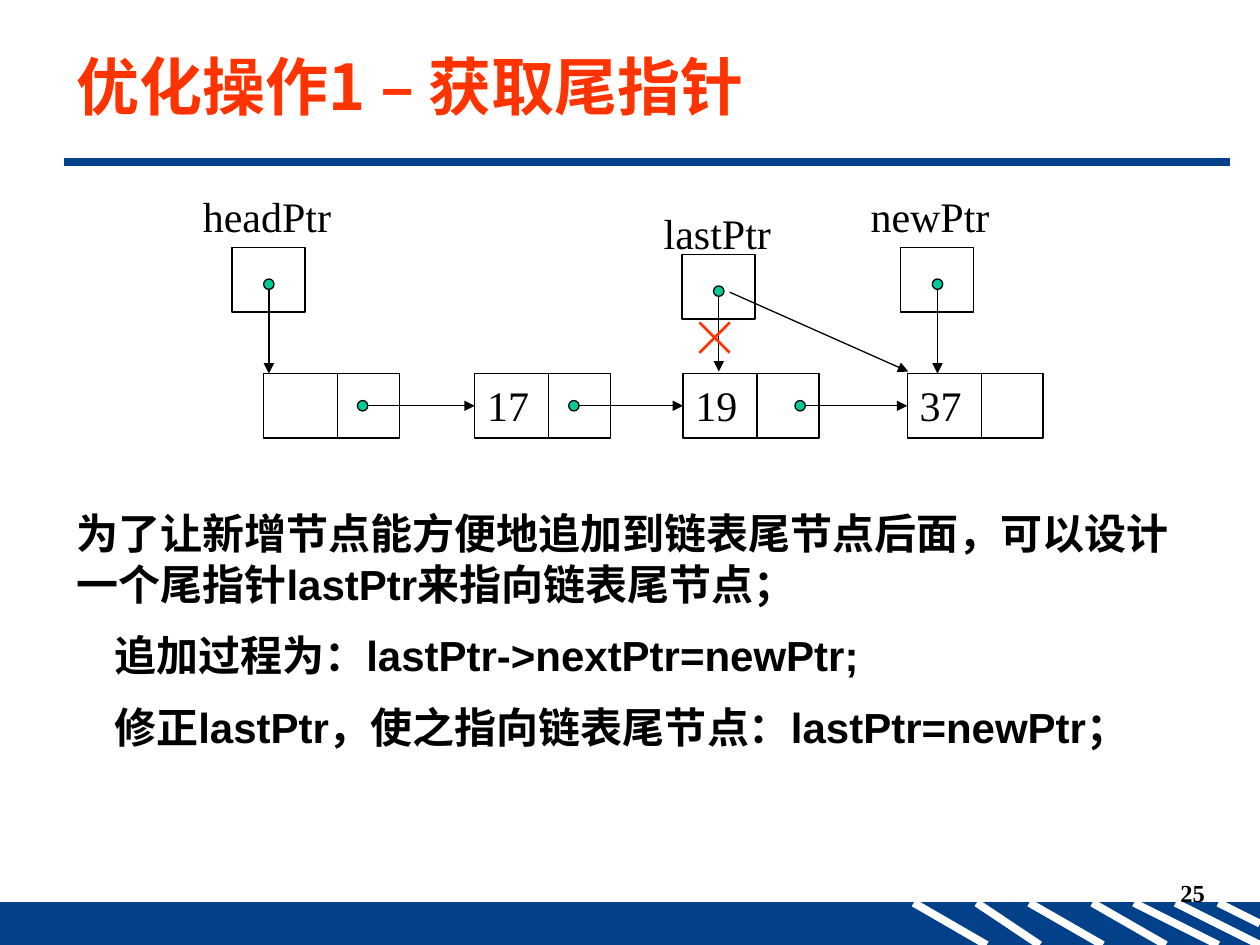
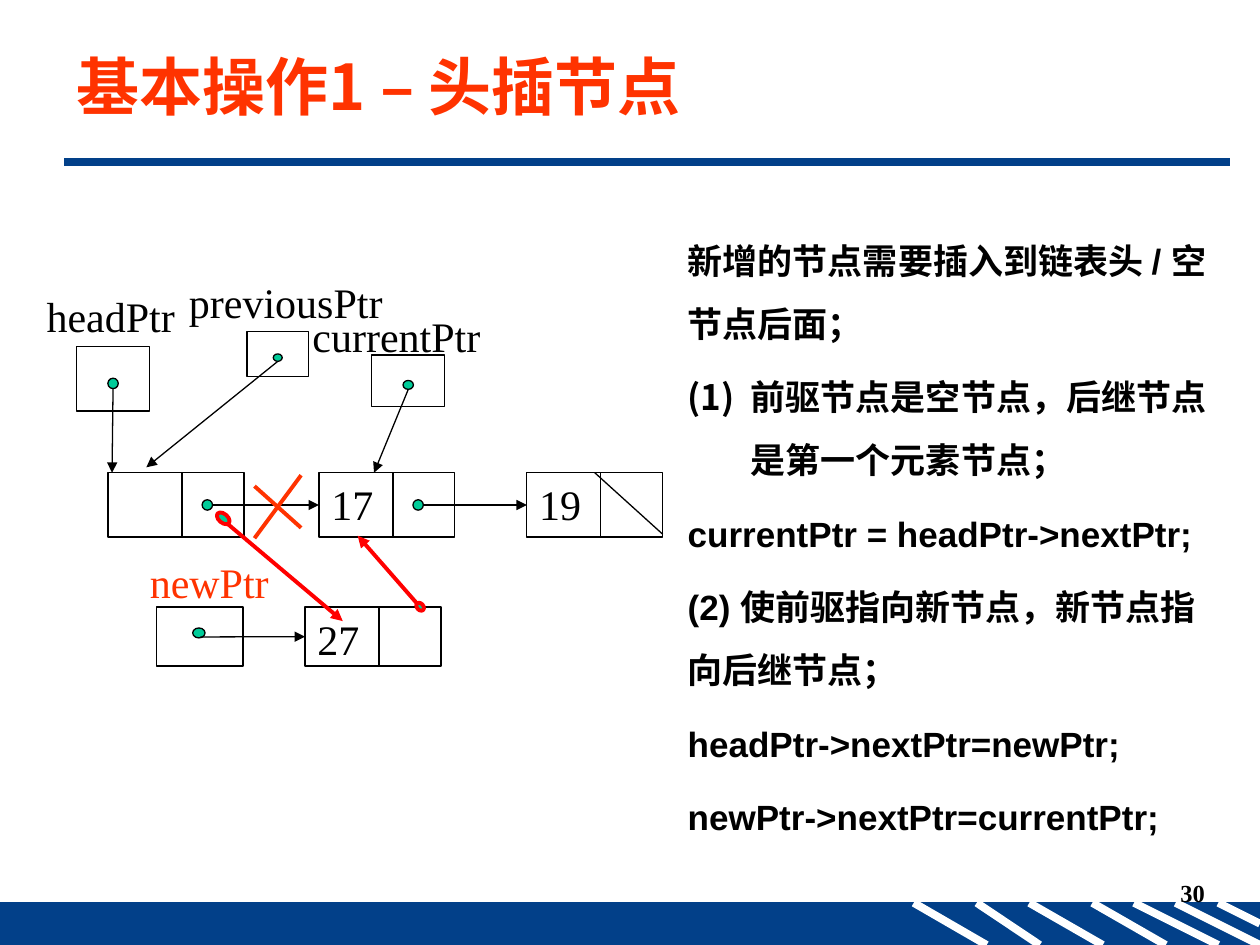
from lxml import etree
from pptx import Presentation
from pptx.dml.color import RGBColor
from pptx.enum.shapes import MSO_CONNECTOR, MSO_SHAPE
from pptx.enum.text import MSO_ANCHOR, MSO_AUTO_SIZE, PP_ALIGN
from pptx.oxml.ns import qn
from pptx.util import Cm, Pt

NAVY, BLACK, WHITE = "024089", "000000", "FFFFFF"
ORANGE, RED, GREEN = "FF3300", "FF0000", "00CC99"
SERIF, SANS, HAN = "Times New Roman", "Arial", "Noto Sans CJK SC"
NODE_WIDTH, NODE_HEIGHT, DIVIDER, LINK_DOT = 2.74, 1.3, 1.49, 2.0
DOT = (0.21, 0.21)


def color(value):
    return RGBColor.from_string(value)


def style_paragraph(paragraph, name, size, ink=BLACK, bold=False,
                    align=PP_ALIGN.LEFT):
    paragraph.alignment = align
    font = paragraph.font
    font.name, font.size, font.bold = name, Pt(size), bold
    font.color.rgb = color(ink)


def add_box(slide, left, top, width, height, kind=MSO_SHAPE.RECTANGLE,
            fill=None, line=BLACK, weight=0.75):
    shape = slide.shapes.add_shape(kind, Cm(left), Cm(top), Cm(width), Cm(height))
    shape.shadow.inherit = False
    if fill:
        shape.fill.solid()
        shape.fill.fore_color.rgb = color(fill)
    else:
        shape.fill.background()
    shape.line.color.rgb = color(line)
    shape.line.width = Pt(weight)
    return shape


def add_dot(slide, center, size=DOT, line=BLACK, weight=0.75, rotation=0):
    dot = add_box(slide, center[0] - size[0] / 2, center[1] - size[1] / 2, *size,
                  MSO_SHAPE.OVAL, GREEN, line, weight)
    dot.rotation = rotation


def add_line(slide, start, end, ink=BLACK, weight=0.75, arrow=False):
    connector = slide.shapes.add_connector(
        MSO_CONNECTOR.STRAIGHT, Cm(start[0]), Cm(start[1]), Cm(end[0]), Cm(end[1]))
    connector.line.color.rgb = color(ink)
    connector.line.width = Pt(weight)
    properties = connector.element.spPr
    etree.SubElement(properties, qn("a:effectLst"))
    if arrow:
        etree.SubElement(properties.find(qn("a:ln")), qn("a:tailEnd"), type="triangle")
    return connector


def add_label(slide, text, left, top, width=4.8, height=1.27, size=24,
              ink=BLACK, bold=False, align=PP_ALIGN.LEFT):
    box = slide.shapes.add_textbox(Cm(left), Cm(top), Cm(width), Cm(height))
    box.text_frame.word_wrap = True
    box.text_frame.text = text
    style_paragraph(box.text_frame.paragraphs[0], SERIF, size, ink, bold, align)


def add_node(slide, left, top, value="", height=NODE_HEIGHT):
    node = add_box(slide, left, top, NODE_WIDTH, height)
    if value:
        frame = node.text_frame
        frame.text = value
        frame.vertical_anchor = MSO_ANCHOR.TOP
        style_paragraph(frame.paragraphs[0], SERIF, 24)
    add_line(slide, (left + DIVIDER, top), (left + DIVIDER, top + height))
    return node


def add_link(slide, dot_x, node):
    y = (node.top + node.height / 2) / Cm(1)
    link = add_line(slide, (dot_x, y), (node.left / Cm(1), y), arrow=True)
    link.end_connect(node, 1)
    add_dot(slide, (dot_x, y))


def add_chain(slide, top, nodes):
    previous = None
    for left, value, dot_offset in nodes:
        node = add_node(slide, left, top, value)
        if previous is not None:
            add_link(slide, previous, node)
        previous = left + dot_offset


def add_pointer(slide, name, label_at, box, dot, target=None, dot_size=DOT, ink=BLACK):
    add_box(slide, *box)
    add_label(slide, name, *label_at, ink=ink)
    add_dot(slide, dot, dot_size)
    if target:
        add_line(slide, (dot[0], dot[1] + dot_size[1] / 2), target, arrow=True)


def add_cross(slide, first, second, weight):
    for stroke in (first, second):
        add_line(slide, *stroke, ink=ORANGE, weight=weight)


def place(shape, left, top, width, height):
    shape.left, shape.top = Cm(left), Cm(top)
    shape.width, shape.height = Cm(width), Cm(height)


def set_indent(paragraph, margin, indent=0, numbering=None):
    properties = paragraph._p.get_or_add_pPr()
    properties.set("marL", str(Cm(margin)))
    properties.set("indent", str(Cm(indent)))
    if numbering:
        etree.SubElement(properties, qn("a:buFont"), typeface=HAN)
        etree.SubElement(properties, qn("a:buAutoNum"), type=numbering)
    else:
        etree.SubElement(properties, qn("a:buNone"))


def fill_body(slide, position, lines, size, space, spacing=1.0):
    body = slide.placeholders[1]
    place(body, *position)
    frame = body.text_frame
    frame.auto_size = MSO_AUTO_SIZE.NONE
    frame.text = "\n".join(text for text, _ in lines)
    for index, (paragraph, (_, indent)) in enumerate(zip(frame.paragraphs, lines)):
        set_indent(paragraph, *indent)
        paragraph.space_before = Pt(space if index else 0)
        paragraph.line_spacing = spacing
        style_paragraph(paragraph, SANS, size, bold=True)


def add_shared_bands(presentation, slide):
    stripes = ((18.42, 19.89), (19.69, 20.96), (20.75, 22.23),
               (22.02, 23.5), (22.86, 24.56), (23.7, 25.4))
    bands = [add_box(slide, 0, 18.2, 25.4, 0.85, fill=NAVY, line=NAVY)]
    bands += [add_line(slide, (start, 18.2), (end, 19.05), WHITE, 4.5)
              for start, end in stripes]
    bands.append(add_line(slide, (24.56, 18.2), (25.4, 18.62), WHITE, 4.5))
    bands.append(add_line(slide, (1.3, 3.27), (24.79, 3.27), NAVY, 4.5))
    master_tree = presentation.slide_master.shapes.element
    for number, band in enumerate(bands, 100):
        band.element.xpath(".//p:cNvPr")[0].set("id", str(number))
        master_tree.append(band.element)


def add_slide(presentation, title, number):
    slide = presentation.slides.add_slide(presentation.slide_layouts[1])
    place(slide.shapes.title, 1.29, 0.72, 23.6, 2.01)
    frame = slide.shapes.title.text_frame
    frame.auto_size = MSO_AUTO_SIZE.NONE
    frame.vertical_anchor = MSO_ANCHOR.MIDDLE
    frame.text = title
    style_paragraph(frame.paragraphs[0], HAN, 36, ORANGE, True)
    add_label(slide, number, 19.26, 17.58, 5.28, size=14, bold=True,
              align=PP_ALIGN.RIGHT)
    return slide


def build_tail_pointer(slide):
    add_chain(slide, 7.53, ((5.31, "", LINK_DOT), (9.57, "17", LINK_DOT),
                            (13.77, "19", 2.36), (18.29, "37", LINK_DOT)))
    for name, label_at, left, top, target_y in (
            ("headPtr", (3.84, 3.72), 4.68, 4.99, 7.53),
            ("lastPtr", (13.13, 4.06), 13.75, 5.13, 7.49),
            ("newPtr", (17.3, 3.72), 18.16, 4.99, 7.53)):
        center = (left + 0.74, top + 0.74)
        add_pointer(slide, name, label_at, (left, top, 1.47, 1.3), center,
                    (center[0], target_y))
    add_cross(slide, ((14.71, 6.5), (14.1, 7.11)), ((14.1, 6.5), (14.71, 7.11)), 1.5)
    add_line(slide, (14.71, 5.89), (18.31, 7.49), arrow=True)
    fill_body(slide, (1.29, 10.11, 23.19, 5.38), (
        ("为了让新增节点能方便地追加到链表尾节点后面，可以设计一个尾指针lastPtr来指向链表尾节点；", (0,)),
        ("追加过程为：lastPtr->nextPtr=newPtr;", (0.76,)),
        ("修正lastPtr，使之指向链表尾节点：lastPtr=newPtr；", (0.76,))), 24, 12)


def build_head_insert(slide):
    add_chain(slide, 9.53, ((2.18, "", LINK_DOT), (6.43, "17", LINK_DOT),
                            (10.62, "19", LINK_DOT)))
    add_line(slide, (11.99, 9.53), (13.36, 10.77))
    add_pointer(slide, "headPtr", (0.69, 5.73), (1.55, 6.99, 1.47, 1.3),
                (2.28, 7.73), (2.26, 9.53))
    add_pointer(slide, "previousPtr", (3.56, 5.45), (4.98, 6.68, 1.24, 0.91),
                (5.6, 7.21), (2.95, 9.42), (0.18, 0.15))
    add_pointer(slide, "currentPtr", (6.05, 6.13), (7.49, 7.16, 1.47, 1.04),
                (8.23, 7.76), (7.54, 9.53), (0.21, 0.18))
    new_node = add_node(slide, 6.15, 12.24, "27", 1.19)
    add_pointer(slide, "newPtr", (2.77, 11.1), (3.15, 12.24, 1.75, 1.19),
                (4.01, 12.76), dot_size=(0.25, 0.2), ink=ORANGE)
    new_link = add_line(slide, (4.04, 12.84), (6.15, 12.84), arrow=True)
    new_link.end_connect(new_node, 1)
    for start, end, center, size, rotation in (
            ((4.6, 10.57), (6.91, 12.52), (4.5, 10.45), (0.3, 0.18), 40.3),
            ((8.41, 12.17), (7.21, 10.8), (8.47, 12.23), (0.18, 0.13), 228.9)):
        add_line(slide, start, end, RED, 2.25, True)
        add_dot(slide, center, size, RED, 2.25, rotation)
    add_cross(slide, ((6.07, 9.58), (5.13, 10.85)), ((5.13, 9.8), (6.07, 10.64)), 2.25)
    fill_body(slide, (13.61, 4.27, 11.4, 12.7), (
        ("新增的节点需要插入到链表头 / 空节点后面；", (0,)),
        ("前驱节点是空节点，后继节点是第一个元素节点；", (1.27, -1.27, "arabicParenBoth")),
        ("currentPtr = headPtr->nextPtr;", (0,)),
        ("(2) 使前驱指向新节点，新节点指向后继节点；", (0,)),
        ("headPtr->nextPtr=newPtr;", (0,)),
        ("newPtr->nextPtr=currentPtr;", (0,))), 20, 6, 1.5)


def main():
    presentation = Presentation()
    presentation.slide_width, presentation.slide_height = Cm(25.4), Cm(19.05)
    tail_slide = add_slide(presentation, "优化操作1 – 获取尾指针", "25")
    add_shared_bands(presentation, tail_slide)
    build_tail_pointer(tail_slide)
    build_head_insert(add_slide(presentation, "基本操作1 – 头插节点", "30"))
    presentation.save("out.pptx")


if __name__ == "__main__":
    main()
